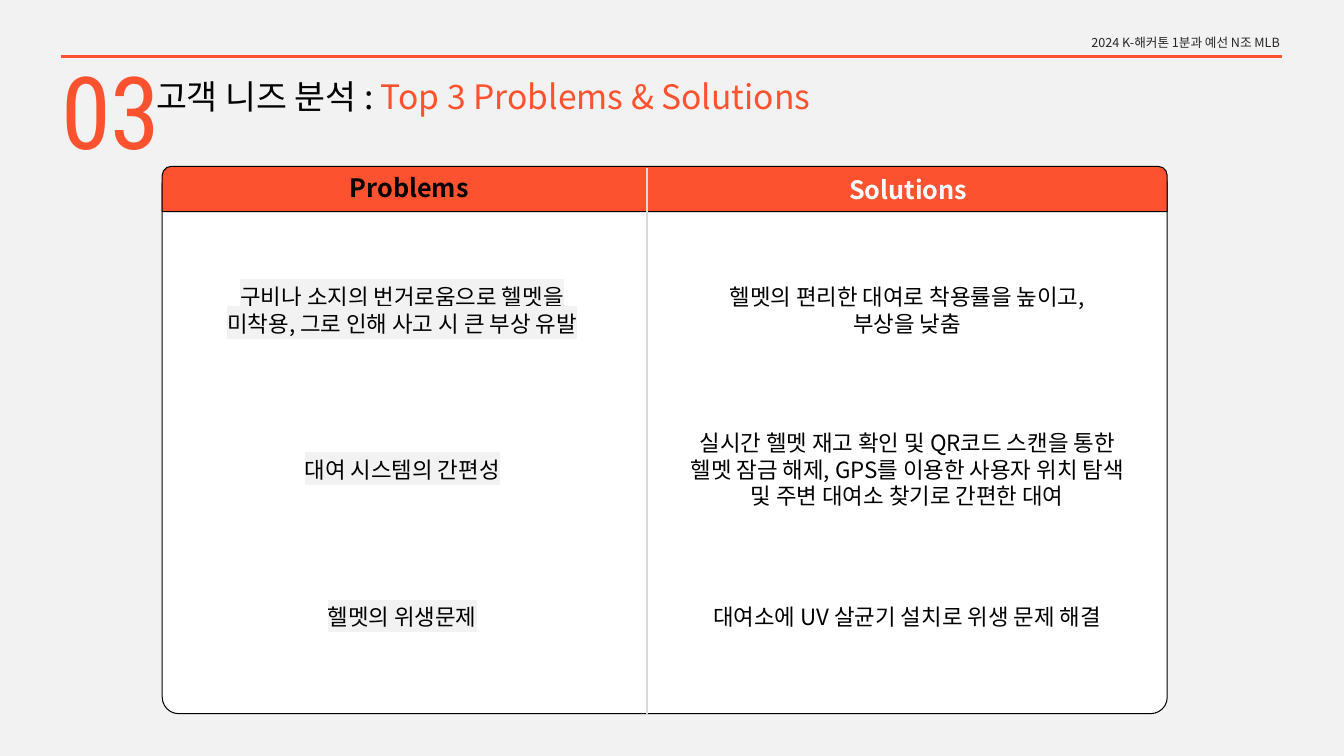
from lxml.etree import SubElement
from pptx import Presentation
from pptx.dml.color import RGBColor as RGB
from pptx.enum.shapes import MSO_CONNECTOR as Link, MSO_SHAPE as Shape
from pptx.enum.text import MSO_ANCHOR as Anchor, PP_ALIGN as Align
from pptx.oxml import parse_xml
from pptx.oxml.ns import qn, nsdecls
from pptx.util import Pt

# Content
HEAD = "2024 K-해커톤 1분과 예선 N조 MLB"
NUM = "03"
TITLE = [("고객 니즈 분석 :", "black"), (" Top 3 Problems & Solutions", "red")]
# Column: heading, heading colour, centre, heading centre, heading top, mark, cells
# Cell: width, line count, paragraphs
COLS = [
    ("Problems", "black", 399, 406, 166, "gray", [
        (390, 2, ["구비나 소지의 번거로움으로 헬멧을 미착용, 그로 인해 사고 시 큰 부상 유발"]),
        (525, 1, ["대여 시스템의 간편성"]),
        (483, 1, ["헬멧의 위생문제"]),
    ]),
    ("Solutions", "white", 900, 901, 168, None, [
        (373, 2, ["헬멧의 편리한 대여로 착용률을 높이고, 부상을 낮춤"]),
        (458, 3, ["실시간 헬멧 재고 확인 및 QR코드 스캔을 통한",
                  "헬멧 잠금 해제, GPS를 이용한 사용자 위치 탐색 및 주변 대여소 찾기로 간편한 대여"]),
        (434, 1, ["대여소에 UV 살균기 설치로 위생 문제 해결"]),
    ]),
]
ROWS = [308, 466, 612]
LINE, PAD = 27, 10

INK = {"red": "FC522F", "black": "000000", "white": "FFFFFF",
       "gray": "F2F2F2", "dark": "262626", "rule": "D9D9D9"}
SANS, SLIM = "Noto Sans CJK KR", "Roboto Condensed"
PX = 9144  # 100 px to the inch


def px(*vals):
    return [round(v * PX) for v in vals]


def ink(name):
    return RGB.from_string(INK[name])


def style(run, size, color, font, bold=False, mark=None):
    run.font.size, run.font.name = Pt(size), font
    run.font.color.rgb = ink(color)
    if bold:
        run.font.bold = True
    props = run._r.get_or_add_rPr()
    if mark:
        props.find(qn("a:latin")).addprevious(parse_xml(
            f'<a:highlight {nsdecls("a")}><a:srgbClr val="{INK[mark]}"/></a:highlight>'))
    SubElement(props, qn("a:ea")).set("typeface", font)


def text(box, paras, size, font=SANS, center=False, bold=False, mark=None):
    frame = slide.shapes.add_textbox(*px(*box)).text_frame
    frame.word_wrap = True
    frame.vertical_anchor = Anchor.TOP
    for i, runs in enumerate(paras):
        para = frame.add_paragraph() if i else frame.paragraphs[0]
        para.alignment = Align.CENTER if center else Align.LEFT
        for words, color in runs:
            run = para.add_run()
            run.text = words
            style(run, size, color, font, bold, mark)


def line(x1, y1, x2, y2, color, width):
    link = slide.shapes.add_connector(Link.STRAIGHT, *px(x1, y1, x2, y2))
    link.line.color.rgb, link.line.width = ink(color), Pt(width)
    SubElement(link._element.spPr, qn("a:effectLst"))


def panel(kind, box, adjust, color):
    shape = slide.shapes.add_shape(kind, *px(*box))
    shape.adjustments[0] = adjust
    shape.shadow.inherit = False
    shape.fill.solid()
    shape.fill.fore_color.rgb = ink(color)
    shape.line.color.rgb, shape.line.width = ink("black"), Pt(0.75)


deck = Presentation()
deck.slide_width, deck.slide_height = px(1333.33, 750)
slide = deck.slides.add_slide(deck.slide_layouts[6])
slide.background.fill.solid()
slide.background.fill.fore_color.rgb = ink("gray")

# Page head and title
line(61, 56, 1272, 56, "red", 2.25)
text((1073, 30, 260, 25), [[(HEAD, "dark")]], 9)
text((145, 70, 974, 91), [TITLE], 24)
text((51, 43, 177, 131), [[(NUM, "red")]], 72, SLIM)

# Card with its header band and divider
panel(Shape.ROUNDED_RECTANGLE, (161, 166, 997, 542), 0.03, "white")
panel(Shape.ROUND_2_SAME_RECTANGLE, (161, 165, 997, 45), 0.2, "red")
line(642, 167, 642, 708, "rule", 1)

# Headings and cells
for name, color, mid, top_mid, top, mark, cells in COLS:
    text((top_mid - 145, top, 290, 40), [[(name, color)]], 18, center=True, bold=True)
    for y, (wide, count, paras) in zip(ROWS, cells):
        high = count * LINE + PAD
        text((mid - wide / 2, y - high / 2, wide, high),
             [[(para, "black")] for para in paras], 16, center=True, mark=mark)

deck.save("out.pptx")
